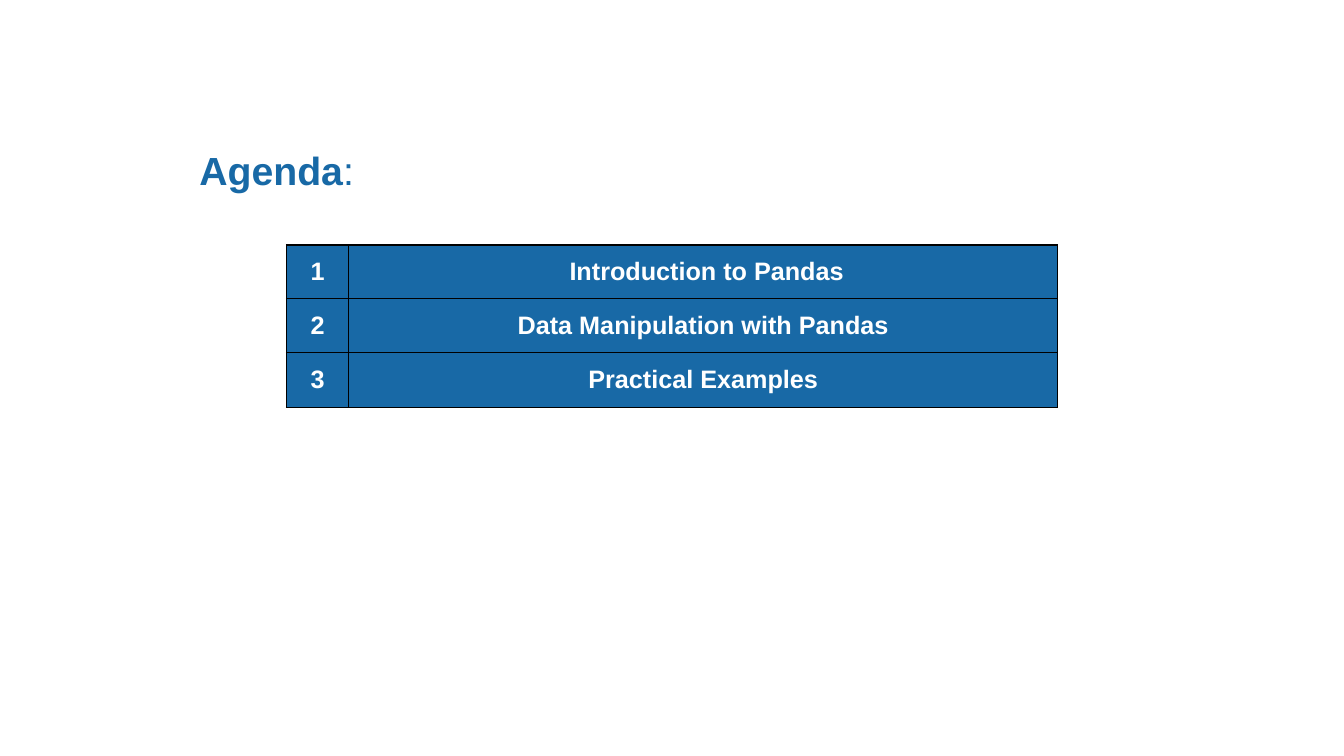
from dataclasses import dataclass

from lxml.etree import SubElement
from pptx import Presentation
from pptx.dml.color import RGBColor
from pptx.enum.text import MSO_ANCHOR, MSO_AUTO_SIZE, PP_ALIGN
from pptx.oxml.ns import qn
from pptx.slide import Slide
from pptx.table import _Cell as Cell
from pptx.text.text import _Run as Run
from pptx.util import Inches, Pt

COLORS = {"blue": "1869A6", "white": "FFFFFF", "black": "000000"}
FONT = "Arial"
COLUMN_WIDTHS = (0.62, 7.03)


@dataclass
class AgendaItem:
    number: str
    topic: str
    height: float


AGENDA = [
    AgendaItem("1", " Introduction to Pandas", 0.53),
    AgendaItem("2", "Data Manipulation with Pandas", 0.54),
    AgendaItem("3", "Practical Examples", 0.54),
]


def style_run(r: Run, size: int, color: str, bold: bool = True) -> None:
    r.font.name = FONT
    r.font.size = Pt(size)
    r.font.bold = bold
    r.font.color.rgb = RGBColor.from_string(COLORS[color])


def add_borders(cell: Cell, color: str, width: float) -> None:
    tc_pr = cell._tc.get_or_add_tcPr()
    for side in ("a:lnL", "a:lnR", "a:lnT", "a:lnB"):
        ln = SubElement(tc_pr, qn(side), w=str(Pt(width)))
        fill = SubElement(ln, qn("a:solidFill"))
        SubElement(fill, qn("a:srgbClr"), val=COLORS[color])


def fill_cell(cell: Cell, text: str) -> None:
    add_borders(cell, "black", 1)
    cell.fill.solid()
    cell.fill.fore_color.rgb = RGBColor.from_string(COLORS["blue"])
    cell.vertical_anchor = MSO_ANCHOR.MIDDLE
    cell.text_frame.text = text
    p = cell.text_frame.paragraphs[0]
    p.alignment = PP_ALIGN.CENTER
    style_run(p.runs[0], 18, "white")


def add_heading(s: Slide) -> None:
    box = s.shapes.add_textbox(Inches(1.88), Inches(1.4), Inches(1.91), Inches(0.57))
    tf = box.text_frame
    tf.word_wrap = True
    tf.auto_size = MSO_AUTO_SIZE.SHAPE_TO_FIT_TEXT
    p = tf.paragraphs[0]
    for text, bold in (("Agenda", True), (":", False)):
        r = p.add_run()
        r.text = text
        style_run(r, 28, "blue", bold)


def add_agenda(s: Slide, items: list[AgendaItem]) -> None:
    width = sum(COLUMN_WIDTHS)
    height = sum(item.height for item in items)
    table = s.shapes.add_table(
        len(items), len(COLUMN_WIDTHS),
        Inches(2.84), Inches(2.43), Inches(width), Inches(height),
    ).table
    table.first_row = False
    table.horz_banding = False
    for column, column_width in zip(table.columns, COLUMN_WIDTHS):
        column.width = Inches(column_width)
    for row, item in zip(table.rows, items):
        row.height = Inches(item.height)
        for cell, text in zip(row.cells, (item.number, item.topic)):
            fill_cell(cell, text)


def main() -> None:
    prs = Presentation()
    prs.slide_width = Inches(13.33)
    prs.slide_height = Inches(7.5)
    s = prs.slides.add_slide(prs.slide_layouts[6])

    # Heading
    add_heading(s)
    # Numbered agenda table
    add_agenda(s, AGENDA)

    prs.save("out.pptx")


if __name__ == "__main__":
    main()
